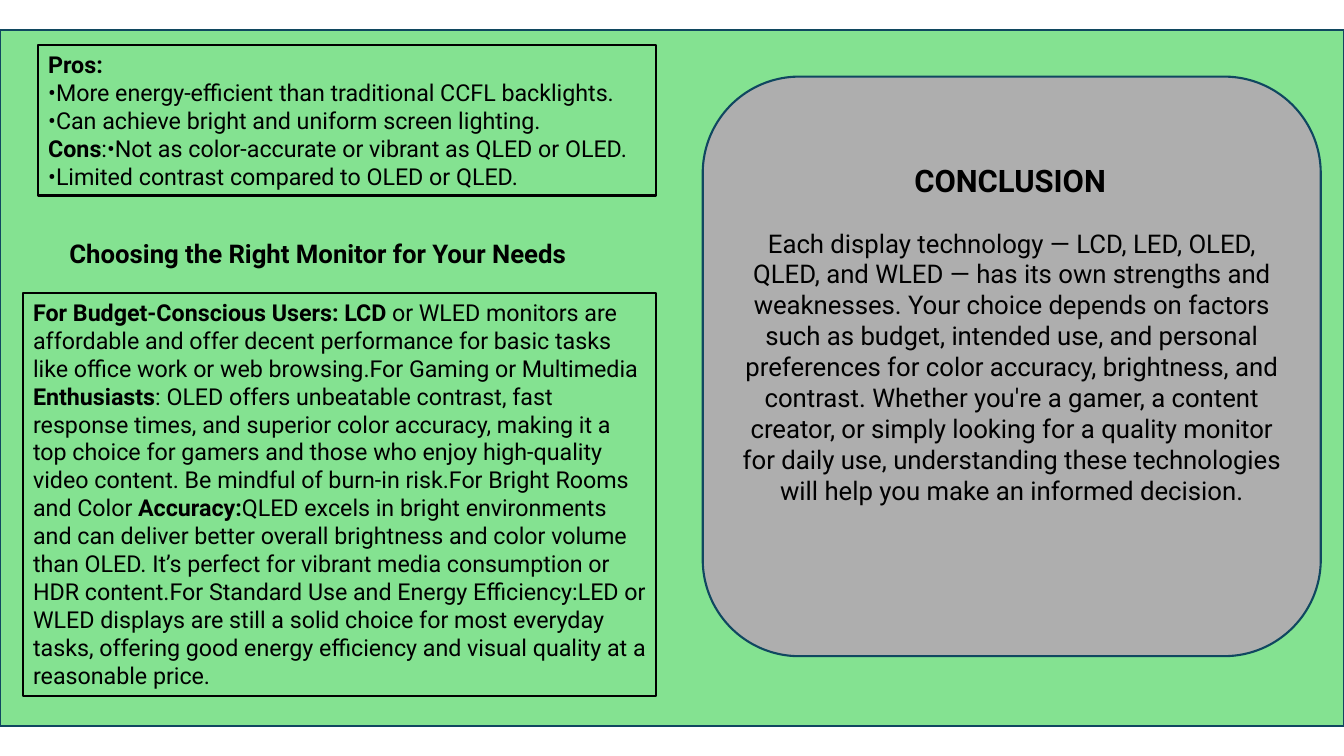
import pptx
import pptx.dml.color
import pptx.enum.shapes
import pptx.enum.text
import pptx.util

Inches = pptx.util.Inches
Shapes = pptx.enum.shapes.MSO_SHAPE
Align = pptx.enum.text.PP_ALIGN
Anchor = pptx.enum.text.MSO_ANCHOR

BLACK, NAVY, GREEN, GRAY = "000000", "104760", "84E291", "AEAEAE"

presentation = pptx.Presentation()
presentation.slide_width = Inches(13.33)
presentation.slide_height = Inches(7.5)
slide = presentation.slides.add_slide(presentation.slide_layouts[6])


def color(hex_string):
    return pptx.dml.color.RGBColor.from_string(hex_string)


def write(shape, paragraphs, size, align=Align.LEFT, anchor=Anchor.TOP):
    """Fill a shape with paragraphs, each a list of (text, bold) runs."""
    frame = shape.text_frame
    frame.word_wrap = True
    frame.vertical_anchor = anchor
    for index, runs in enumerate(paragraphs):
        paragraph = frame.add_paragraph() if index else frame.paragraphs[0]
        paragraph.alignment = align
        paragraph.font.name = "Roboto"
        paragraph.font.size = pptx.util.Pt(size)
        paragraph.font.color.rgb = color(BLACK)
        for text, bold in runs:
            run = paragraph.add_run()
            run.text = text
            run.font.bold = bold


pros_and_cons = [
    [("Pros:", True)],
    [("•More energy-efficient than traditional CCFL backlights.", False)],
    [("•Can achieve bright and uniform screen lighting.", False)],
    [("Cons", True), (":•Not as color-accurate or vibrant as QLED or OLED.", False)],
    [("•Limited contrast compared to OLED or QLED.", False)],
]
advice = [[
    ("For Budget-Conscious Users: LCD ", True),
    ("or WLED monitors are affordable and offer decent performance for basic tasks "
     "like office work or web browsing.For Gaming or Multimedia ", False),
    ("Enthusiasts", True),
    (": OLED offers unbeatable contrast, fast response times, and superior color "
     "accuracy, making it a top choice for gamers and those who enjoy high-quality "
     "video content. Be mindful of burn-in risk.For Bright Rooms and Color ", False),
    ("Accuracy:", True),
    ("QLED excels in bright environments and can deliver better overall brightness "
     "and color volume than OLED. It’s perfect for vibrant media consumption or HDR "
     "content.For Standard Use and Energy Efficiency:LED or WLED displays are still a "
     "solid choice for most everyday tasks, offering good energy efficiency and visual "
     "quality at a reasonable price.", False),
]]
conclusion = [[
    ("Each display technology — LCD, LED, OLED, QLED, and WLED — has its own strengths "
     "and weaknesses. Your choice depends on factors such as budget, intended use, and "
     "personal preferences for color accuracy, brightness, and contrast. Whether you're "
     "a gamer, a content creator, or simply looking for a quality monitor for daily use, "
     "understanding these technologies will help you make an informed decision.", False),
]]

# Panels: preset, position, fill, line, paragraphs, size, alignment, anchor
panels = [
    (Shapes.RECTANGLE, (0, 0.3, 13.33, 6.9), GREEN, NAVY, [], 18, Align.LEFT, Anchor.TOP),
    (Shapes.RECTANGLE, (0.38, 0.45, 6.13, 1.49), None, BLACK, pros_and_cons, 16.6,
     Align.LEFT, Anchor.TOP),
    (Shapes.RECTANGLE, (0.23, 2.91, 6.28, 4), None, BLACK, advice, 16.6,
     Align.LEFT, Anchor.TOP),
    (Shapes.ROUNDED_RECTANGLE, (6.97, 0.76, 6.13, 5.75), GRAY, NAVY, conclusion, 18.4,
     Align.CENTER, Anchor.MIDDLE),
]
for preset, position, fill, line, paragraphs, size, align, anchor in panels:
    panel = slide.shapes.add_shape(preset, *map(Inches, position))
    panel.shadow.inherit = False
    if fill:
        panel.fill.solid()
        panel.fill.fore_color.rgb = color(fill)
    else:
        panel.fill.background()
    panel.line.color.rgb = color(line)
    panel.line.width = pptx.util.Pt(1.5)
    write(panel, paragraphs, size, align, anchor)

# Headings: position, text, size
headings = [
    ((0.59, 2.31, 5.21, 0.41), "Choosing the Right Monitor for Your Needs", 18.4),
    ((8.97, 1.55, 3.07, 0.47), "CONCLUSION", 22.1),
]
for position, text, size in headings:
    heading = slide.shapes.add_textbox(*map(Inches, position))
    write(heading, [[(text, True)]], size)

presentation.save("out.pptx")
